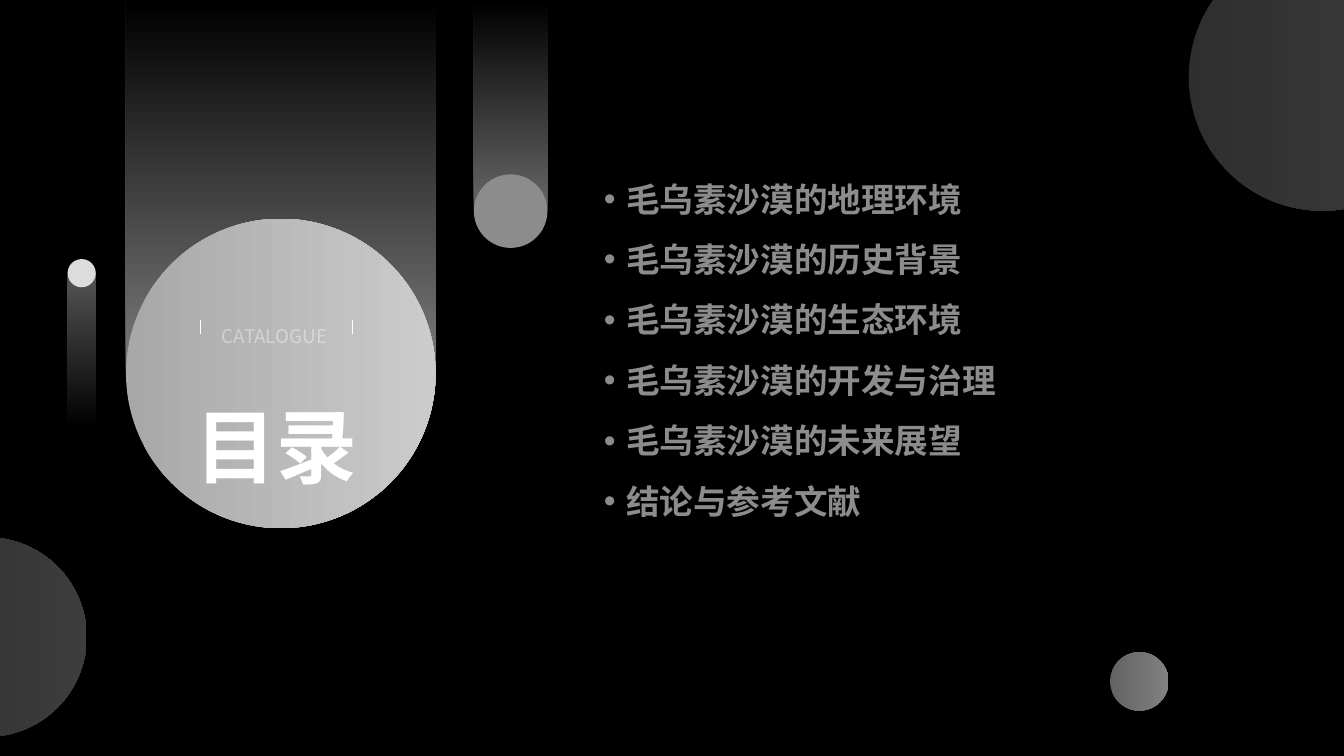
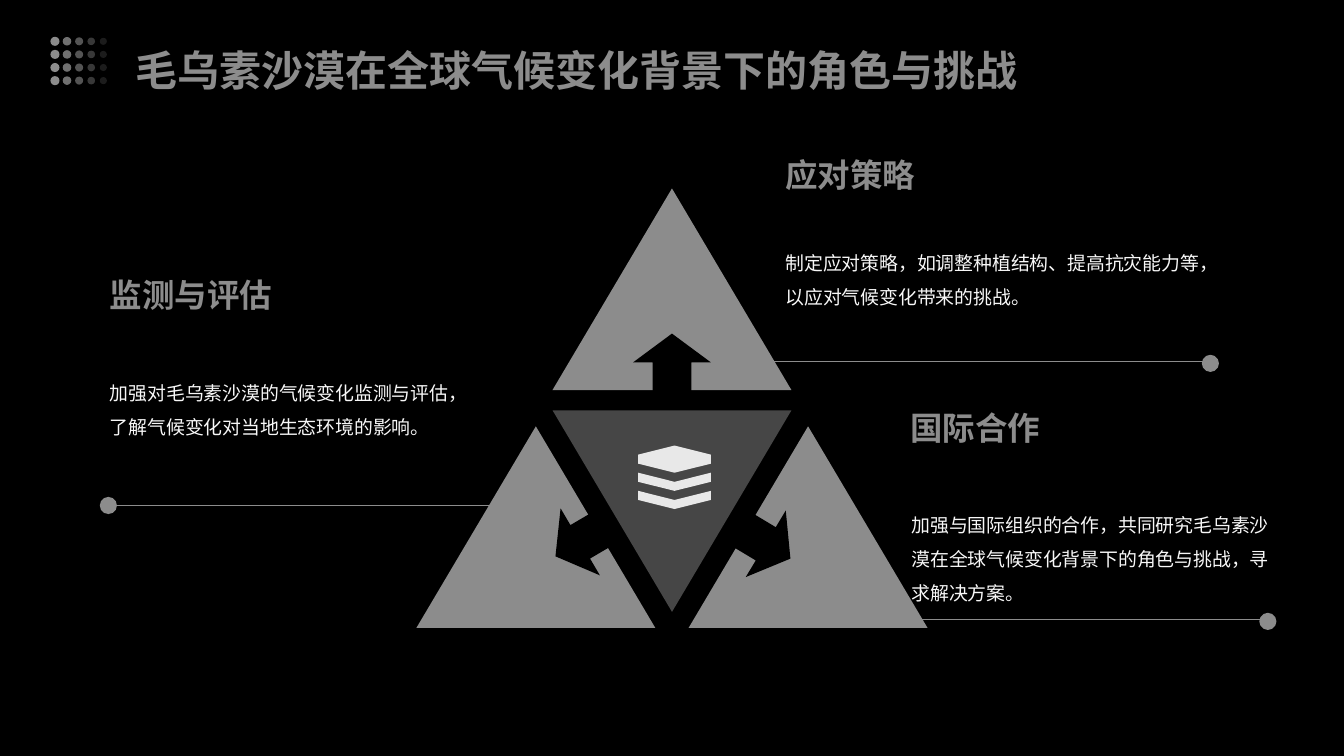
"""Build a contents slide and a three-part triangle slide on black."""
from lxml import etree
from pptx import Presentation
from pptx import util as u
from pptx.dml.color import RGBColor
from pptx.enum import shapes, text
from pptx.oxml import ns

BLACK = RGBColor(0x00, 0x00, 0x00)
WHITE = RGBColor(0xFF, 0xFF, 0xFF)
GREY = RGBColor(0x8C, 0x8C, 0x8C)
DARK = RGBColor(0x46, 0x46, 0x46)
STEEL = RGBColor(0xA8, 0xA8, 0xA8)
SILVER = RGBColor(0xCB, 0xCB, 0xCB)
PALE = RGBColor(0xDC, 0xDC, 0xDC)
LIGHT = RGBColor(0xE8, 0xE8, 0xE8)
BODY = RGBColor(0xF7, 0xF7, 0xF7)
FONT = "Noto Sans CJK SC"
KIND = shapes.MSO_SHAPE
RECT, OVAL, PEAK, ARROW = KIND.RECTANGLE, KIND.OVAL, KIND.ISOSCELES_TRIANGLE, KIND.UP_ARROW


def put(page, kind, at, fill, end=None, angle=0, alpha=100, turn=0):
    """Add a preset shape, with a gradient from fill to end if end is given."""
    shape = page.shapes.add_shape(kind, *map(u.Inches, at))
    shape.shadow.inherit = False
    shape.line.fill.background()
    shape.rotation = turn
    if end is None:
        shape.fill.solid()
        shape.fill.fore_color.rgb = fill
    else:
        shape.fill.gradient()
        shape.fill.gradient_angle = angle
        for stop, color in zip(shape.fill.gradient_stops, (fill, end)):
            stop.color.rgb = color
    if alpha < 100:
        for color in shape._element.spPr.iter(ns.qn("a:srgbClr")):
            etree.SubElement(color, ns.qn("a:alpha"), val=str(alpha * 1000))


def write(page, words, at, size, color, space, bold=False, alpha=100, bullet=False):
    """Add a text box with one paragraph for each line of words."""
    box = page.shapes.add_textbox(*map(u.Inches, at))
    frame = box.text_frame
    frame.word_wrap = True
    frame.auto_size = text.MSO_AUTO_SIZE.SHAPE_TO_FIT_TEXT
    frame.margin_left = frame.margin_top = frame.margin_bottom = u.Inches(0.14)
    frame.margin_right = u.Inches(0.06)
    frame.text = words
    for para in frame.paragraphs:
        para.line_spacing = space
        if bullet:
            props = para._p.get_or_add_pPr()
            props.set("marL", str(u.Inches(0.22)))
            props.set("indent", str(-u.Inches(0.22)))
            etree.SubElement(props, ns.qn("a:buFont"), typeface="Arial")
            etree.SubElement(props, ns.qn("a:buChar"), char="•")
        for run in para.runs:
            font = run.font
            font.size, font.bold, font.name = u.Pt(size), bold, FONT
            font.color.rgb = color
            props = run._r.get_or_add_rPr()
            etree.SubElement(props, ns.qn("a:ea"), typeface=FONT)
            if alpha < 100:
                tint = props.find(".//" + ns.qn("a:srgbClr"))
                etree.SubElement(tint, ns.qn("a:alpha"), val=str(alpha * 1000))


deck = Presentation()
deck.slide_width, deck.slide_height = u.Inches(13.33), u.Inches(7.5)
menu, chart = [deck.slides.add_slide(deck.slide_layouts[6]) for _ in range(2)]
for page in (menu, chart):
    page.background.fill.solid()
    page.background.fill.fore_color.rgb = BLACK

put(menu, RECT, (1.25, 0, 3.07, 3.74), STEEL, BLACK, angle=90, alpha=75)
put(menu, OVAL, (1.25, 2.17, 3.07, 3.07), STEEL, SILVER)
write(menu, "CATALOGUE", (2.06, 2.91, 2.19, 0.67), 13.5, WHITE, 1.74, alpha=40)
write(menu, "目录", (1.8, 3.08, 1.93, 2.01), 57.8, WHITE, 1.74, bold=True)
topics = [
    "毛乌素沙漠的地理环境",
    "毛乌素沙漠的历史背景",
    "毛乌素沙漠的生态环境",
    "毛乌素沙漠的开发与治理",
    "毛乌素沙漠的未来展望",
    "结论与参考文献",
]
write(menu, "\n".join(topics), (5.85, 1.43, 6.54, 4.65), 24, GREY, 1.5,
      bold=True, bullet=True)
put(menu, RECT, (0.67, 2.71, 0.28, 1.54), STEEL, BLACK, angle=270, alpha=51)
put(menu, OVAL, (0.67, 2.57, 0.28, 0.28), PALE)
put(menu, RECT, (4.7, 0, 0.73, 2.09), STEEL, BLACK, angle=90, alpha=62)
put(menu, OVAL, (4.7, 1.73, 0.73, 0.73), GREY)
for left, top, size, alpha in ((-1.12, 5.33, 1.98, 27), (11.01, 6.47, 0.58, 59),
                               (11.79, -0.56, 2.65, 27)):
    put(menu, OVAL, (left, top, size, size), STEEL, PALE, alpha=alpha)

put(chart, PEAK, (5.48, 4.07, 2.37, 2), DARK, turn=180)
for left, top in ((6.83, 4.23), (4.13, 4.23), (5.48, 1.87)):
    put(chart, PEAK, (left, top, 2.37, 2), GREY)
for left, top, turn in ((6.28, 3.31, 0), (7.21, 5.11, 121), (5.37, 5.09, 239.6)):
    put(chart, ARROW, (left, top, 0.77, 0.57), BLACK, turn=turn)

parts = [
    ("应对策略", 7.65, 1.32, 4.27, "制定应对策略，如调整种植结构、提高抗灾能力等，以应对气候变化带来的挑战。",
     7.65, 2.24, 4.43, 11.92, 3.52),
    ("国际合作", 8.89, 3.83, 3.81, "加强与国际组织的合作，共同研究毛乌素沙漠在全球气候变化背景下的角色与挑战，寻求解决方案。",
     8.9, 4.84, 3.81, 12.49, 6.08),
    ("监测与评估", 0.95, 2.51, 3.81, "加强对毛乌素沙漠的气候变化监测与评估，了解气候变化对当地生态环境的影响。",
     0.95, 3.53, 3.81, 0.99, 4.93),
]
for head, left, top, wide, body, x, y, span, knob, level in parts:
    write(chart, head, (left, top, wide, 1.23), 23.2, GREY, 1.2, bold=True)
    write(chart, body, (x, y, span, 1.32), 13.5, BODY, 1.5)
    put(chart, OVAL, (knob, level, 0.17, 0.17), GREY)

left, mid, right = 6.33, 6.69, 7.05
bands = [[(left, y), (mid, y + 0.09), (right, y), (right, y + 0.09),
          (mid, y + 0.18), (left, y + 0.09)] for y in (4.87, 4.69)]
bands.append([(left, 4.51), (mid, 4.42), (right, 4.51), (right, 4.6),
              (mid, 4.69), (left, 4.6)])
pen = chart.shapes.build_freeform()
for band in bands:
    start, *rest = [(u.Inches(x), u.Inches(y)) for x, y in band]
    pen.move_to(*start)
    pen.add_line_segments(rest, close=True)
stack = pen.convert_to_shape()
stack.shadow.inherit = False
stack.fill.solid()
stack.fill.fore_color.rgb = LIGHT
stack.line.fill.background()

for row in range(4):
    for col in range(5):
        size = 0.09 - 0.005 * col
        at = (0.545 + 0.12 * col - size / 2, 0.41 + 0.13 * row - size / 2, size, size)
        put(chart, OVAL, at, GREY, alpha=100 - 20 * col)
write(chart, "毛乌素沙漠在全球气候变化背景下的角色与挑战", (1.2, 0.1, 10.94, 1), 30,
      GREY, 1.4, bold=True)

rules = [
    (menu, WHITE, 3.5, 3.17, 3.5, 3.31),
    (menu, WHITE, 1.99, 3.17, 1.99, 3.31),
    (chart, GREY, 7.46, 3.59, 11.95, 3.59),
    (chart, GREY, 8.03, 6.15, 12.53, 6.15),
    (chart, GREY, 0.99, 5.02, 5.14, 5.02),
]
for page, color, *ends in rules:
    rule = page.shapes.add_connector(shapes.MSO_CONNECTOR.STRAIGHT, *map(u.Inches, ends))
    rule.line.color.rgb = color
    rule.line.width = u.Pt(0.75)
    etree.SubElement(rule._element.spPr, ns.qn("a:effectLst"))

deck.save("out.pptx")
